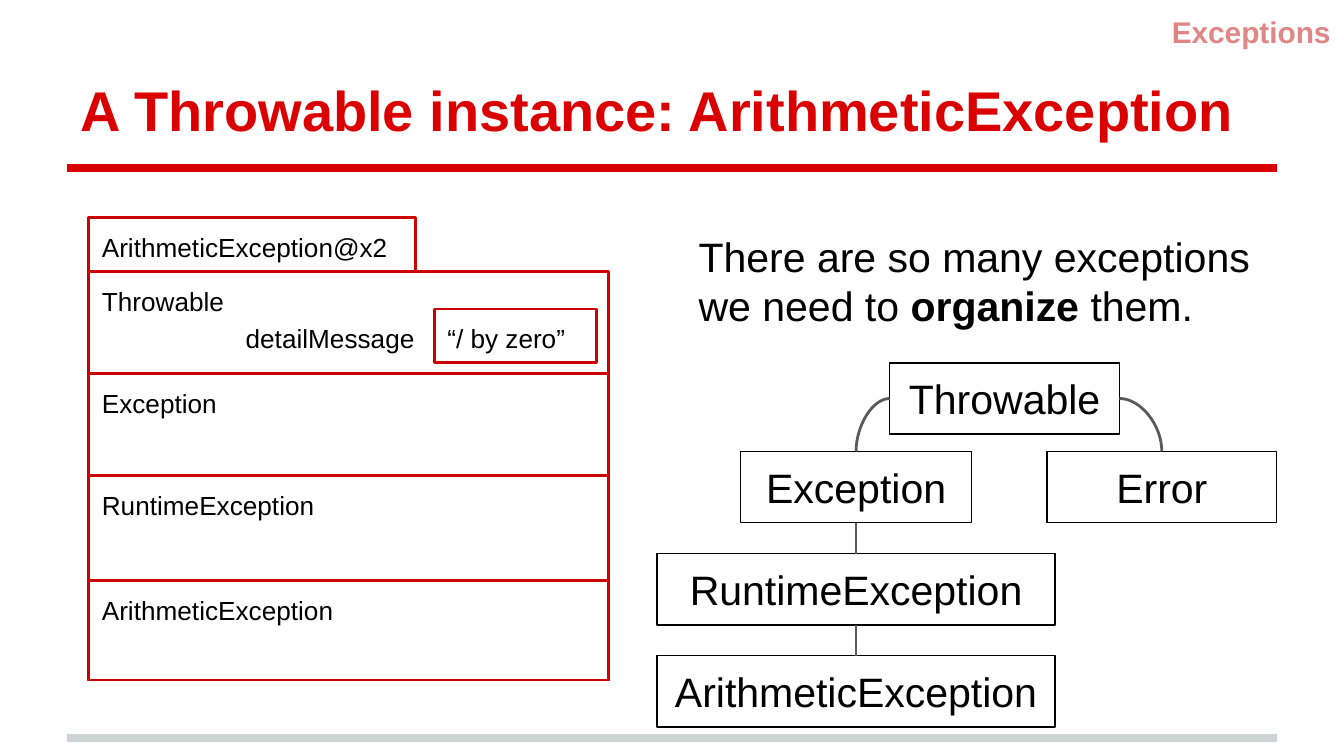
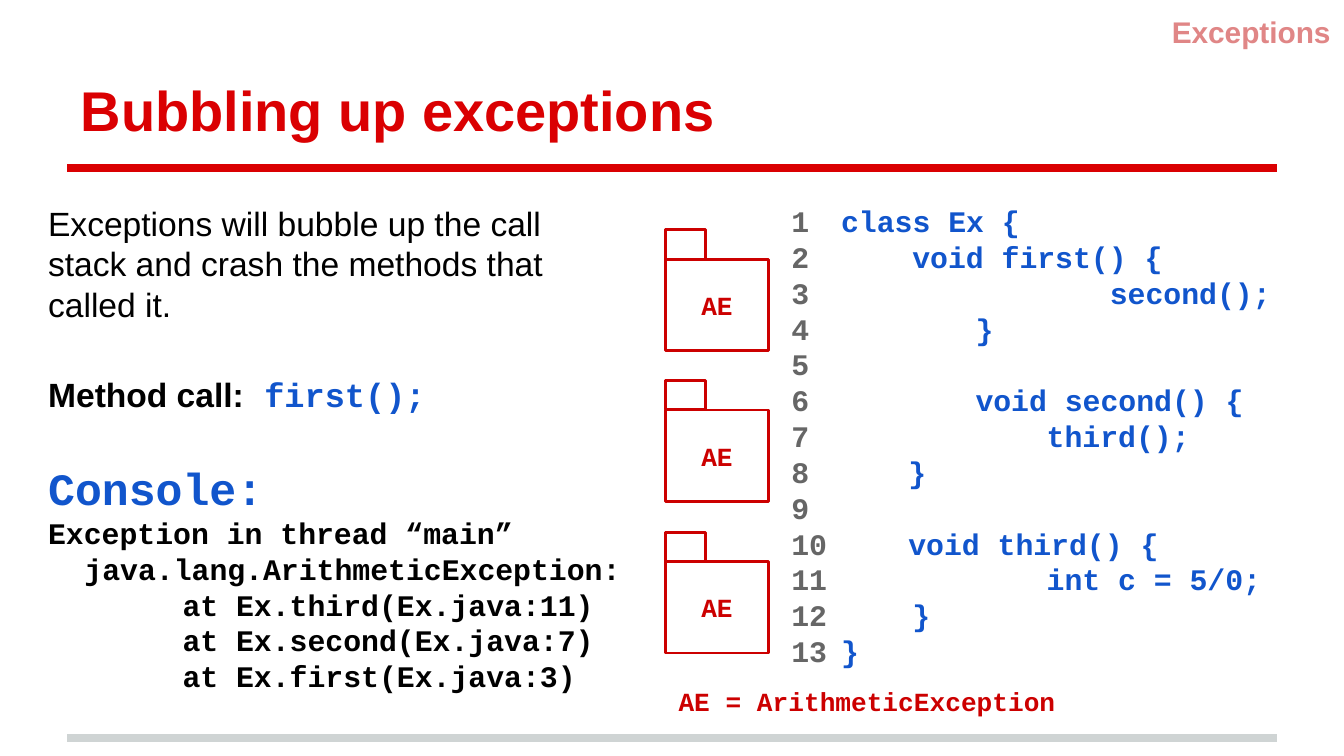
from dataclasses import dataclass
from typing import NamedTuple, Optional

from lxml.etree import SubElement
from pptx import Presentation
from pptx.dml.color import RGBColor
from pptx.enum.shapes import MSO_CONNECTOR, MSO_SHAPE
from pptx.enum.text import MSO_ANCHOR, MSO_AUTO_SIZE, PP_ALIGN
from pptx.oxml.ns import qn
from pptx.util import Inches, Pt


class TextStyle(NamedTuple):
    size: float
    color: str
    font: str = "Arial"
    bold: bool = False


class Stroke(NamedTuple):
    color: str
    width: float


@dataclass(frozen=True)
class Theme:
    title: TextStyle = TextStyle(30, "DA0002", bold=True)
    section: TextStyle = TextStyle(16, "E08686", bold=True)
    statement: TextStyle = TextStyle(22, "000000")
    body: TextStyle = TextStyle(18, "000000")
    field: TextStyle = TextStyle(14, "000000")
    call_label: TextStyle = TextStyle(18, "000000", bold=True)
    call_code: TextStyle = TextStyle(18, "1155CC", "Courier New", True)
    console_title: TextStyle = TextStyle(24, "1155CC", "Courier New", True)
    console: TextStyle = TextStyle(16, "000000", "Courier New", True)
    code: TextStyle = TextStyle(16, "1155CC", "Courier New", True)
    line_number: TextStyle = TextStyle(16, "666666", "Courier New", True)
    marker: TextStyle = TextStyle(14, "CC0000", "Courier New", True)
    title_rule: Stroke = Stroke("DA0002", 4)
    footer_rule: Stroke = Stroke("CFD4D4", 4)
    object_outline: Stroke = Stroke("CC0000", 1.5)
    node_outline: Stroke = Stroke("000000", 0.75)
    link: Stroke = Stroke("5B595A", 1.5)


THEME = Theme()


class Box(NamedTuple):
    left: float
    top: float
    width: float
    height: float

    def lengths(self) -> list:
        return [Inches(value) for value in self]


class Run(NamedTuple):
    text: str
    style: TextStyle


@dataclass(frozen=True)
class Line:
    """One paragraph; indent in inches, skipped is the number of empty lines above it."""
    runs: tuple
    indent: float = 0
    skipped: int = 0


class Section(NamedTuple):
    name: str
    top: float


class Node(NamedTuple):
    name: str
    box: Box


class Link(NamedTuple):
    parent: str
    parent_site: int
    child: str
    curved: bool


TOP_SITE, LEFT_SITE, BOTTOM_SITE, RIGHT_SITE = range(4)
LINE_HEIGHT = 1.2

OBJECT_LEFT, OBJECT_WIDTH, OBJECT_BOTTOM = 0.66, 3.87, 5.06
SECTIONS = (
    Section("Throwable", 2.02),
    Section("Exception", 2.78),
    Section("RuntimeException", 3.54),
    Section("ArithmeticException", 4.32),
)

NODE_HEIGHT = 0.53
NODES = (
    Node("Throwable", Box(6.62, 2.7, 1.71, NODE_HEIGHT)),
    Node("Exception", Box(5.51, 3.36, 1.72, NODE_HEIGHT)),
    Node("Error", Box(7.79, 3.36, 1.71, NODE_HEIGHT)),
    Node("RuntimeException", Box(4.89, 4.12, 2.96, NODE_HEIGHT)),
    Node("ArithmeticException", Box(4.89, 4.88, 2.96, NODE_HEIGHT)),
)
LINKS = (
    Link("Throwable", LEFT_SITE, "Exception", True),
    Link("Throwable", RIGHT_SITE, "Error", True),
    Link("Exception", BOTTOM_SITE, "RuntimeException", False),
    Link("RuntimeException", BOTTOM_SITE, "ArithmeticException", False),
)

MARKER_TOPS = (1.71, 2.83, 3.96)


def single(text: str, style: TextStyle, indent: float = 0, skipped: int = 0) -> Line:
    return Line((Run(text, style),), indent, skipped)


CODE = (
    single("class Ex {", THEME.code),
    single("void first() {", THEME.code, 0.53),
    single("second();", THEME.code, 2),
    single("}", THEME.code, 1),
    single("void second() {", THEME.code, 1, skipped=1),
    single("third();", THEME.code, 1.53),
    single("}", THEME.code, 0.5),
    single("void third() {", THEME.code, 0.5, skipped=1),
    single("int c = 5/0;", THEME.code, 1.53),
    single("}", THEME.code, 0.53),
    single("}", THEME.code),
)
CODE_LINE_COUNT = len(CODE) + sum(line.skipped for line in CODE)

CONSOLE = (
    single("Console:", THEME.console_title),
    single("Exception in thread “main”", THEME.console),
    single("java.lang.ArithmeticException:", THEME.console, 0.27),
    single("at Ex.third(Ex.java:11)", THEME.console, 1),
    single("at Ex.second(Ex.java:7)", THEME.console, 1),
    single("at Ex.first(Ex.java:3)", THEME.console, 1),
)


def apply_style(font, style: TextStyle) -> None:
    font.name = style.font
    font.size = Pt(style.size)
    font.bold = style.bold
    font.color.rgb = RGBColor.from_string(style.color)


def write_lines(shape, lines, align=PP_ALIGN.LEFT, anchor=MSO_ANCHOR.TOP) -> None:
    frame = shape.text_frame
    frame.word_wrap = True
    frame.auto_size = MSO_AUTO_SIZE.NONE
    frame.vertical_anchor = anchor
    frame.margin_left = frame.margin_right = Inches(0.1)
    frame.margin_top = frame.margin_bottom = Inches(0.1)
    for index, line in enumerate(lines):
        paragraph = frame.add_paragraph() if index else frame.paragraphs[0]
        paragraph.alignment = align
        if line.indent:
            paragraph._p.get_or_add_pPr().set("marL", str(Inches(line.indent)))
        if line.skipped:
            height = line.skipped * LINE_HEIGHT * line.runs[0].style.size
            paragraph.space_before = Pt(height)
        same_style = len({run.style for run in line.runs}) == 1
        if same_style:
            apply_style(paragraph.font, line.runs[0].style)
        for part in line.runs:
            run = paragraph.add_run()
            run.text = part.text
            if not same_style:
                apply_style(run.font, part.style)


def add_text(slide, box: Box, *lines: Line, align=PP_ALIGN.LEFT) -> None:
    write_lines(slide.shapes.add_textbox(*box.lengths()), lines, align)


def apply_stroke(line, stroke: Stroke) -> None:
    line.color.rgb = RGBColor.from_string(stroke.color)
    line.width = Pt(stroke.width)


def add_rectangle(shapes, box: Box, stroke: Stroke, line: Optional[Line] = None,
                  centered: bool = False):
    shape = shapes.add_shape(MSO_SHAPE.RECTANGLE, *box.lengths())
    shape.shadow.inherit = False
    shape.fill.background()
    apply_stroke(shape.line, stroke)
    if line:
        align = PP_ALIGN.CENTER if centered else PP_ALIGN.LEFT
        anchor = MSO_ANCHOR.MIDDLE if centered else MSO_ANCHOR.TOP
        write_lines(shape, [line], align, anchor)
    return shape


def add_line(slide, stroke: Stroke, start=(0, 0), end=(0, 0), curved: bool = False):
    kind = MSO_CONNECTOR.CURVE if curved else MSO_CONNECTOR.STRAIGHT
    points = [Inches(value) for value in (*start, *end)]
    connector = slide.shapes.add_connector(kind, *points)
    apply_stroke(connector.line, stroke)
    properties = connector._element.spPr
    SubElement(properties, qn("a:effectLst"))
    if curved:
        properties.find(qn("a:prstGeom")).set("prst", "curvedConnector2")
    return connector


def add_titled_slide(presentation, title: str):
    slide = presentation.slides.add_slide(presentation.slide_layouts[5])
    for top, stroke in ((5.49, THEME.footer_rule), (1.25, THEME.title_rule)):
        add_line(slide, stroke, (0.5, top), (9.5, top))
    shape = slide.shapes.title
    shape.left, shape.top, shape.width, shape.height = Box(0.5, 0.23, 9, 0.93).lengths()
    write_lines(shape, [single(title, THEME.title)], anchor=MSO_ANCHOR.BOTTOM)
    add_text(slide, Box(7.66, 0, 2.34, 0.4), single("Exceptions", THEME.section),
             align=PP_ALIGN.RIGHT)
    return slide


def add_object_diagram(slide) -> None:
    outline = THEME.object_outline
    add_rectangle(slide.shapes, Box(OBJECT_LEFT, 1.62, 2.43, 0.4), outline,
                  single("ArithmeticException@x2", THEME.field))
    for section in SECTIONS:
        box = Box(OBJECT_LEFT, section.top, OBJECT_WIDTH, OBJECT_BOTTOM - section.top)
        add_rectangle(slide.shapes, box, outline, single(section.name, THEME.field))
    add_rectangle(slide.shapes, Box(3.23, 2.3, 1.21, 0.4), outline,
                  single("“/ by zero”", THEME.field))
    add_text(slide, Box(1.73, 2.3, 1.5, 0.4), single("detailMessage", THEME.field))


def add_class_tree(slide) -> None:
    shapes = {
        node.name: add_rectangle(slide.shapes, node.box, THEME.node_outline,
                                 single(node.name, THEME.statement), centered=True)
        for node in NODES
    }
    for link in LINKS:
        connector = add_line(slide, THEME.link, curved=link.curved)
        connector.begin_connect(shapes[link.parent], link.parent_site)
        connector.end_connect(shapes[link.child], TOP_SITE)


def add_exception_marker(slide, top: float) -> None:
    """Draw a small tabbed object labelled AE."""
    left, tab_height = 4.95, 0.22
    shapes = slide.shapes.add_group_shape().shapes
    add_rectangle(shapes, Box(left, top, 0.3, tab_height), THEME.object_outline)
    add_rectangle(shapes, Box(left, top + tab_height, 0.77, 0.68), THEME.object_outline,
                  single("AE", THEME.marker), centered=True)


def build_instance_slide(presentation) -> None:
    slide = add_titled_slide(presentation, "A Throwable instance: ArithmeticException")
    add_object_diagram(slide)
    emphasis = THEME.statement._replace(bold=True)
    add_text(slide, Box(5.1, 1.62, 4.59, 0.94), Line((
        Run("There are so many exceptions we need to ", THEME.statement),
        Run("organize", emphasis),
        Run(" them.", THEME.statement),
    )))
    add_class_tree(slide)


def build_bubbling_slide(presentation) -> None:
    slide = add_titled_slide(presentation, "Bubbling up exceptions")
    add_text(slide, Box(6.16, 1.41, 4.52, 3.96), *CODE)
    for top in MARKER_TOPS:
        add_exception_marker(slide, top)
    add_text(slide, Box(0.26, 1.41, 4.23, 1.11), single(
        "Exceptions will bubble up the call stack and crash the methods that called it.",
        THEME.body))
    add_text(slide, Box(0.26, 3.33, 4.65, 2.03), *CONSOLE)
    add_text(slide, Box(4.95, 5, 3.08, 0.4), single("AE = ArithmeticException", THEME.marker))
    numbers = [single(str(number + 1), THEME.line_number) for number in range(CODE_LINE_COUNT)]
    add_text(slide, Box(5.79, 1.41, 0.61, 3.6), *numbers)
    add_text(slide, Box(0.26, 2.68, 3.75, 0.49), Line((
        Run("Method call:", THEME.call_label), Run(" first();", THEME.call_code))))


def main() -> None:
    presentation = Presentation()
    presentation.slide_width = Inches(10)
    presentation.slide_height = presentation.slide_width * 9 // 16
    build_instance_slide(presentation)
    build_bubbling_slide(presentation)
    presentation.save("out.pptx")


if __name__ == "__main__":
    main()
